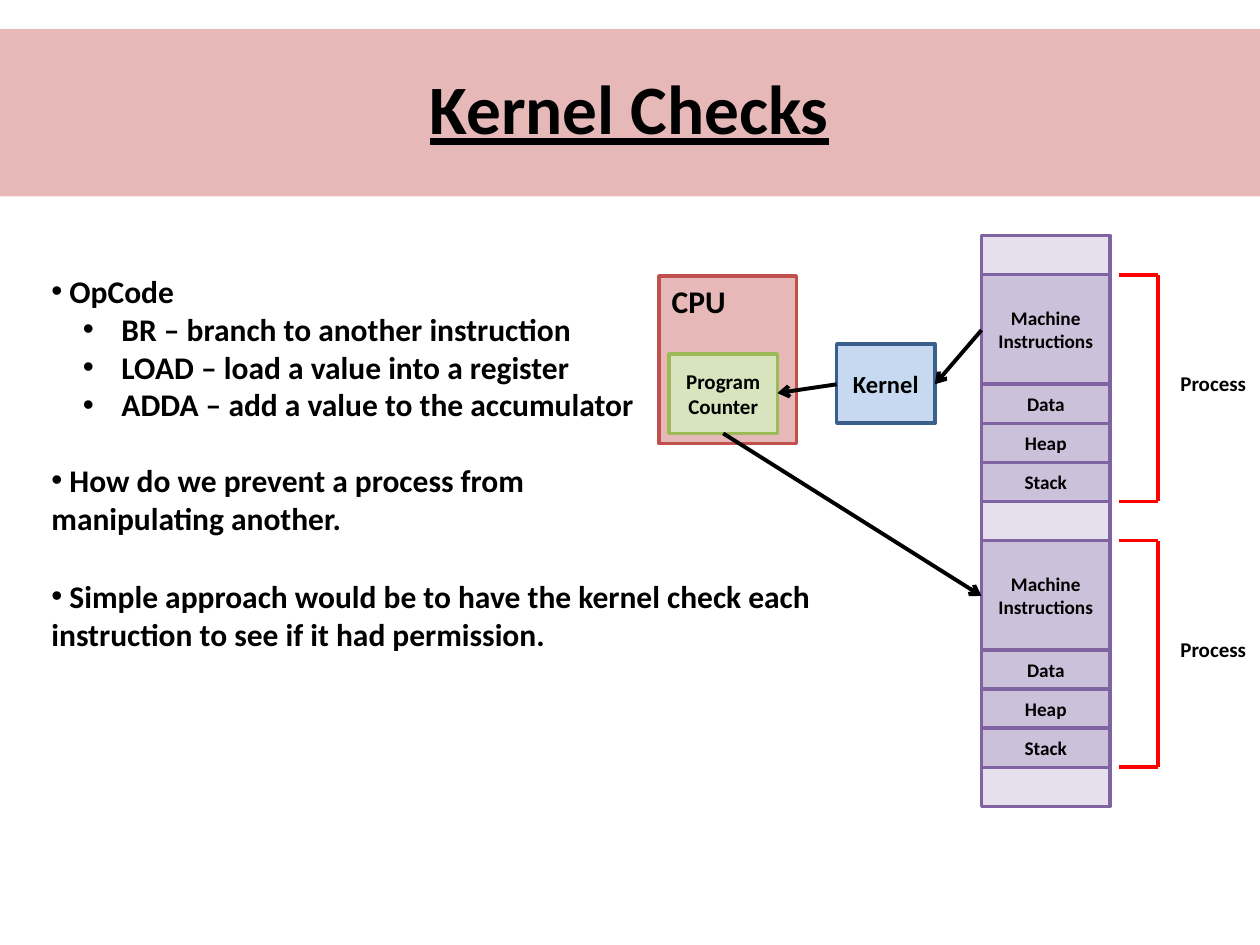
from lxml.etree import SubElement
from pptx import Presentation
from pptx.dml.color import RGBColor
from pptx.enum.shapes import MSO_CONNECTOR, MSO_SHAPE
from pptx.enum.text import MSO_ANCHOR, PP_ALIGN
from pptx.oxml.ns import qn
from pptx.util import Inches, Pt

TITLE = "Kernel Checks"
POINTS = [
    (0, " OpCode"),
    (1, " BR – branch to another instruction"),
    (1, " LOAD – load a value into a register"),
    (1, " ADDA – add a value to the accumulator"),
    (0, " How do we prevent a process from manipulating another."),
]
CLOSE = [(0, " Simple approach would be to have the kernel check each "
             "instruction to see if it had permission.")]
PARTS = ["Machine Instructions", "Data", "Heap", "Stack"]
CELLS = ["", *PARTS, "", *PARTS, ""]
ARROWS = [
    ((7.79, 2.62), (7.42, 3.05)),
    ((5.74, 3.44), (7.79, 4.73)),
    ((6.64, 3.05), (6.17, 3.12)),
]
THEME = {
    "font": "Calibri", "ink": "000000", "mark": "FF0000", "rose": "E6B9B8",
    "red": "C0504D", "free": "E6E0EC", "used": "CCC1DA", "violet": "8064A2",
    "lime": "D7E4BD", "green": "9BBB59", "sky": "C6D9F1", "blue": "3A5F8C",
    "title": 39.6, "body": 18, "kernel": 14, "label": 12, "cell": 11,
    "edge": 2, "wire": 2.25,
}
LEFT, TOP, WIDE, ROW, CODE = 7.79, 1.87, 1.02, 0.31, 0.87

deck = Presentation()
deck.slide_width, deck.slide_height = Inches(10), Inches(7.5)
slide = deck.slides.add_slide(deck.slide_layouts[6])
shapes = slide.shapes


def tint(name):
    return RGBColor.from_string(THEME[name])


def style(para, size, align):
    para.alignment = align
    for run in para.runs:
        font = run.font
        font.name, font.size, font.bold = THEME["font"], Pt(THEME[size]), True
        font.color.rgb = tint("ink")


def box(place, fill, edge=None, text="", size="cell"):
    item = shapes.add_shape(MSO_SHAPE.RECTANGLE, *map(Inches, place))
    item.shadow.inherit = False
    item.fill.solid()
    item.fill.fore_color.rgb = tint(fill)
    if edge:
        item.line.color.rgb = tint(edge)
        item.line.width = Pt(THEME["edge"])
    else:
        item.line.fill.background()
    if text:
        frame = item.text_frame
        frame.text, frame.word_wrap = text, True
        frame.vertical_anchor = MSO_ANCHOR.MIDDLE
        style(frame.paragraphs[0], size, PP_ALIGN.CENTER)


def label(place, text, size, align=PP_ALIGN.LEFT, wrap=False):
    frame = shapes.add_textbox(*map(Inches, place)).text_frame
    frame.text, frame.word_wrap = text, wrap
    for para in frame.paragraphs:
        style(para, size, align)
    return frame


def bullets(place, items):
    frame = label(place, "\n".join(text for _, text in items), "body", wrap=True)
    last = 0
    for para, (level, _) in zip(frame.paragraphs, items):
        para.level = level
        if level < last:
            para.space_before = Pt(21.6)
        last = level
        props = para._p.get_or_add_pPr()
        props.set("marL", str(Inches(0.5 * level)))
        props.set("indent", str(Inches(-0.25 * level)))
        SubElement(props, qn("a:buFont")).set("typeface", "Arial")
        SubElement(props, qn("a:buChar")).set("char", "•")


def wire(start, end, color, arrow=False):
    item = shapes.add_connector(MSO_CONNECTOR.STRAIGHT, *map(Inches, start + end))
    item.line.color.rgb = tint(color)
    item.line.width = Pt(THEME["wire"])
    if arrow:
        SubElement(item.line._get_or_add_ln(), qn("a:tailEnd")).set("type", "arrow")
    SubElement(item._element.spPr, qn("a:effectLst"))


box((0, 0.23, 10, 1.33), "rose")
label((0.23, 0.38, 9.53, 0.94), TITLE, "title", PP_ALIGN.CENTER, True)
head = shapes[-1].text_frame
head.vertical_anchor = MSO_ANCHOR.MIDDLE
head.paragraphs[0].runs[0].font.underline = True
bullets((0.31, 2.11, 5, 2.3), POINTS)
bullets((0.31, 4.53, 6.48, 0.71), CLOSE)

top = TOP
for text in CELLS:
    high = CODE if text == PARTS[0] else ROW
    box((LEFT, top, WIDE, high), "used" if text else "free", "violet", text)
    if text == PARTS[0]:
        start = top
    top += high
    if text == PARTS[-1]:
        for y in (start, top):
            wire((8.88, y), (9.19, y), "mark")
        wire((9.19, start), (9.19, top), "mark")
        label((9.27, (start + top) / 2 - 0.19, 0.73, 0.3), "Process", "label")

box((5.23, 2.19, 1.09, 1.33), "rose", "red")
box((5.31, 2.81, 0.86, 0.63), "lime", "green", "Program Counter", "label")
label((5.23, 2.19, 0.63, 0.4), "CPU", "body", PP_ALIGN.CENTER)
box((6.64, 2.73, 0.78, 0.63), "sky", "blue", "Kernel", "kernel")
for start, end in ARROWS:
    wire(start, end, "ink", True)

deck.save("out.pptx")
